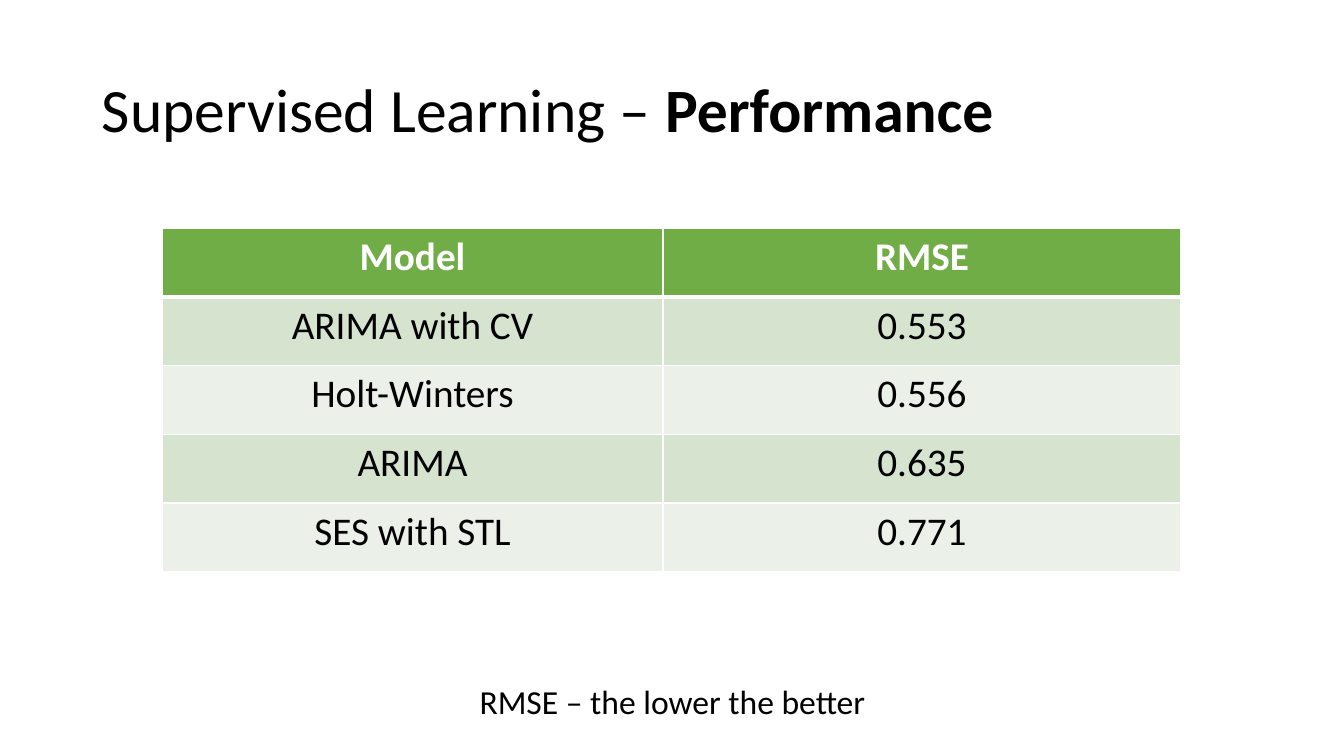
from lxml.etree import SubElement
from pptx import Presentation
from pptx.dml.color import RGBColor
from pptx.enum.text import MSO_ANCHOR, PP_ALIGN
from pptx.oxml.ns import qn
from pptx.util import Pt

EMU_PER_PX = 914400 / 100.8
COLORS = {
    "text": "000000",
    "white": "FFFFFF",
    "header": "70AD47",
    "odd_row": "D5E3CF",
    "even_row": "EBF1E9",
}
RESULTS = [
    ("Model", "RMSE"),
    ("ARIMA with CV", "0.553"),
    ("Holt-Winters", "0.556"),
    ("ARIMA", "0.635"),
    ("SES with STL", "0.771"),
]


def px(length):
    """Turn pixels into EMU."""
    return round(length * EMU_PER_PX)


def style_paragraph(paragraph, size, color="text", align=PP_ALIGN.CENTER):
    """Set the font and alignment of a paragraph."""
    paragraph.alignment = align
    paragraph.font.name = "Calibri"
    paragraph.font.size = Pt(size)
    paragraph.font.color.rgb = RGBColor.from_string(COLORS[color])


def add_text(slide, box, runs, size, align, anchor):
    """Add a one-paragraph text box made of (text, bold) runs."""
    frame = slide.shapes.add_textbox(*map(px, box)).text_frame
    frame.word_wrap = True
    frame.vertical_anchor = anchor
    paragraph = frame.paragraphs[0]
    style_paragraph(paragraph, size, align=align)
    paragraph.line_spacing = 0.9
    for text, bold in runs:
        run = paragraph.add_run()
        run.text = text
        run.font.bold = bold


def add_border(cell, side, width):
    """Draw one white border of a cell."""
    properties = cell._tc.get_or_add_tcPr()
    line = SubElement(properties, qn(f"a:ln{side}"), w=str(Pt(width)))
    fill = SubElement(line, qn("a:solidFill"))
    SubElement(fill, qn("a:srgbClr"), val=COLORS["white"])


def add_results(slide, box, column_widths):
    """Add the table of models and their errors."""
    shape = slide.shapes.add_table(len(RESULTS), len(column_widths), *map(px, box))
    table = shape.table
    for column, width in zip(table.columns, column_widths):
        column.width = px(width)
    for row_index, values in enumerate(RESULTS):
        is_header = row_index == 0
        band = "header" if is_header else "odd_row" if row_index % 2 else "even_row"
        for column_index, value in enumerate(values):
            cell = table.cell(row_index, column_index)
            for side in "LRTB":
                thick = (side == "B" and is_header) or (side == "T" and row_index == 1)
                add_border(cell, side, 3 if thick else 1)
            cell.fill.solid()
            cell.fill.fore_color.rgb = RGBColor.from_string(COLORS[band])
            cell.text = value
            paragraph = cell.text_frame.paragraphs[0]
            style_paragraph(paragraph, 28, "white" if is_header else "text")
            paragraph.font.bold = is_header


def main():
    """Build and save the performance slide."""
    presentation = Presentation()
    presentation.slide_width = px(1344)
    presentation.slide_height = px(756)
    slide = presentation.slides.add_slide(presentation.slide_layouts[6])
    title = [("Supervised Learning – ", False), ("Performance", True)]
    add_text(slide, (92, 40, 1220, 146), title, 44, PP_ALIGN.LEFT, MSO_ANCHOR.MIDDLE)
    add_results(slide, (162, 228, 1019, 344), (501, 518))
    note = [("RMSE – the lower the better", False)]
    add_text(slide, (358, 680, 629, 56), note, 24, PP_ALIGN.CENTER, MSO_ANCHOR.TOP)
    presentation.save("out.pptx")


if __name__ == "__main__":
    main()
